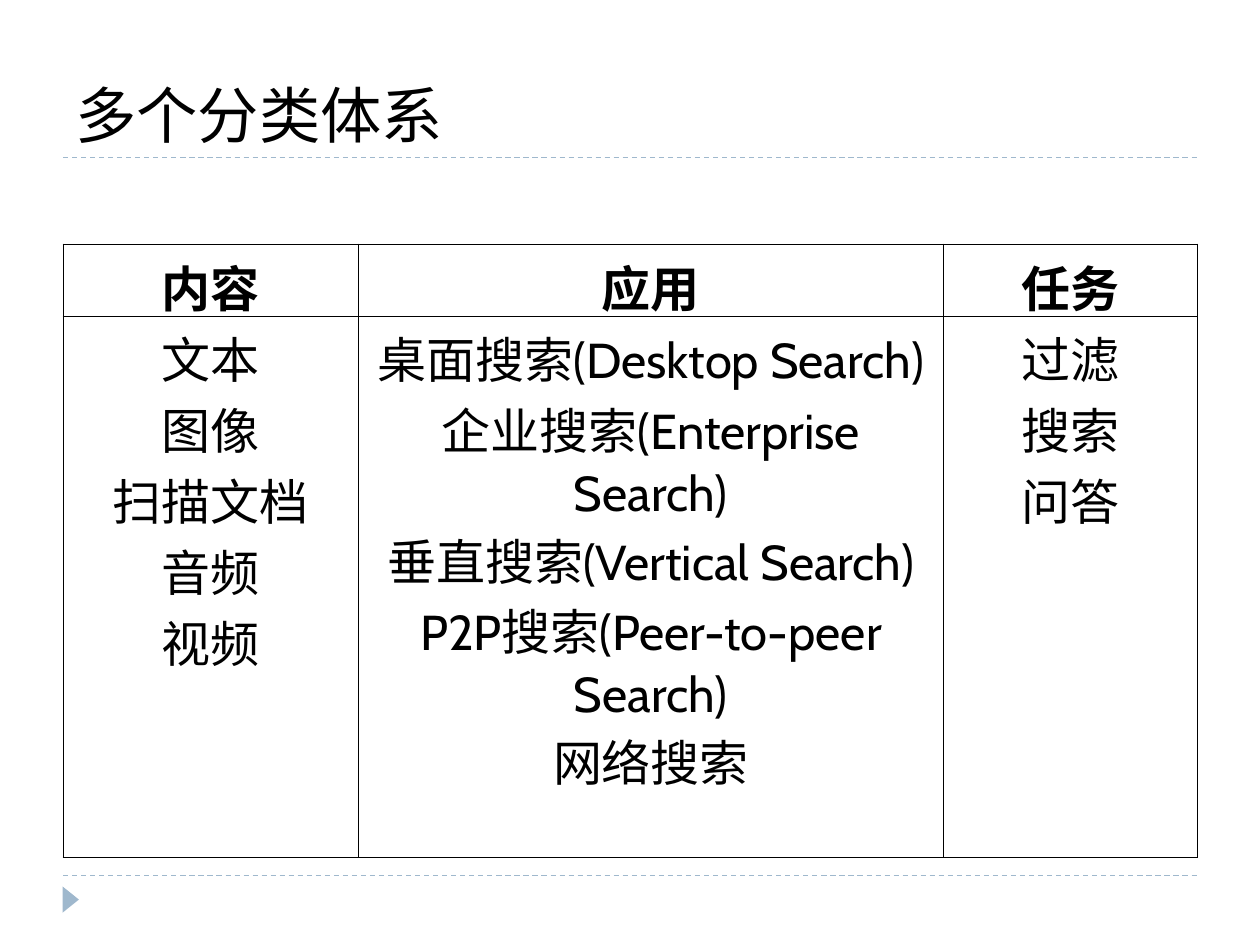
from lxml import etree
from pptx import Presentation
from pptx.dml.color import RGBColor
from pptx.enum.dml import MSO_LINE
from pptx.enum.shapes import MSO_CONNECTOR, MSO_SHAPE
from pptx.enum.text import MSO_ANCHOR, PP_ALIGN
from pptx.oxml.ns import qn
from pptx.util import Cm, Pt

BLACK = RGBColor(0x00, 0x00, 0x00)
ACCENT = RGBColor(0x9F, 0xB8, 0xCD)
DASH = MSO_LINE.DASH
STRAIGHT = MSO_CONNECTOR.STRAIGHT
TRIANGLE = MSO_SHAPE.ISOSCELES_TRIANGLE
BOTTOM = MSO_ANCHOR.BOTTOM
CENTER = PP_ALIGN.CENTER

# Content: heading, entries and width in cm of each column
TITLE = "多个分类体系"
COLUMNS = [
    ("内容", ["文本", "图像", "扫描文档", "音频", "视频"], 5.95),
    ("应用", ["桌面搜索(Desktop Search)", "企业搜索(Enterprise Search)",
            "垂直搜索(Vertical Search)", "P2P搜索(Peer-to-peer Search)",
            "网络搜索"], 11.8),
    ("任务", ["过滤", "搜索", "问答"], 5.11),
]
ROW_HEIGHTS = (1.45, 10.92)
LEFT, WIDTH = Cm(1.27), Cm(22.86)
RULES = (Cm(17.65), Cm(3.17))
BORDER_WIDTH = Pt(0.45)


def style_paragraph(para, font_name, size, bold=False):
    for span in para.runs:
        span.font.name = font_name
        span.font.size = Pt(size)
        span.font.bold = bold
        span.font.color.rgb = BLACK


def add_borders(cell):
    properties = cell._tc.get_or_add_tcPr()
    for index, side in enumerate(("a:lnL", "a:lnR", "a:lnT", "a:lnB")):
        line = etree.Element(qn(side), w=str(int(BORDER_WIDTH)))
        fill = etree.SubElement(line, qn("a:solidFill"))
        etree.SubElement(fill, qn("a:srgbClr"), val=str(BLACK))
        properties.insert(index, line)


def fill_cell(cell, lines, bold):
    cell.text_frame.text = "\n".join(lines)
    for para in cell.text_frame.paragraphs:
        para.alignment = CENTER
        style_paragraph(para, "Cabin", 28, bold)
    cell.fill.background()
    add_borders(cell)


deck = Presentation()
deck.slide_width, deck.slide_height = Cm(25.4), Cm(19.05)
page = deck.slides.add_slide(deck.slide_layouts[6])

# Dashed rules under the title and above the footer
for top in RULES:
    rule = page.shapes.add_connector(STRAIGHT, LEFT, top, LEFT + WIDTH, top)
    rule.line.color.rgb = ACCENT
    rule.line.width = Pt(0.75)
    rule.line.dash_style = DASH
    etree.SubElement(rule._element.spPr, qn("a:effectLst"))

# Footer marker
marker = page.shapes.add_shape(TRIANGLE, Cm(1.16), Cm(17.97), Cm(0.53), Cm(0.33))
marker.rotation = 90
marker.shadow.inherit = False
marker.fill.solid()
marker.fill.fore_color.rgb = ACCENT
marker.line.fill.background()

# Title
box = page.shapes.add_textbox(LEFT, Cm(0.43), WIDTH, Cm(2.74))
box.text_frame.word_wrap = True
box.text_frame.vertical_anchor = BOTTOM
box.text_frame.text = TITLE
style_paragraph(box.text_frame.paragraphs[0], "TeX Gyre Bonum", 35)

# Classification table
table = page.shapes.add_table(len(ROW_HEIGHTS), len(COLUMNS), LEFT, Cm(4.92),
                              WIDTH, Cm(sum(ROW_HEIGHTS))).table
for row, height in zip(table.rows, ROW_HEIGHTS):
    row.height = Cm(height)
for index, (heading, entries, width) in enumerate(COLUMNS):
    table.columns[index].width = Cm(width)
    fill_cell(table.cell(0, index), [heading], True)
    fill_cell(table.cell(1, index), entries, False)

deck.save("out.pptx")
